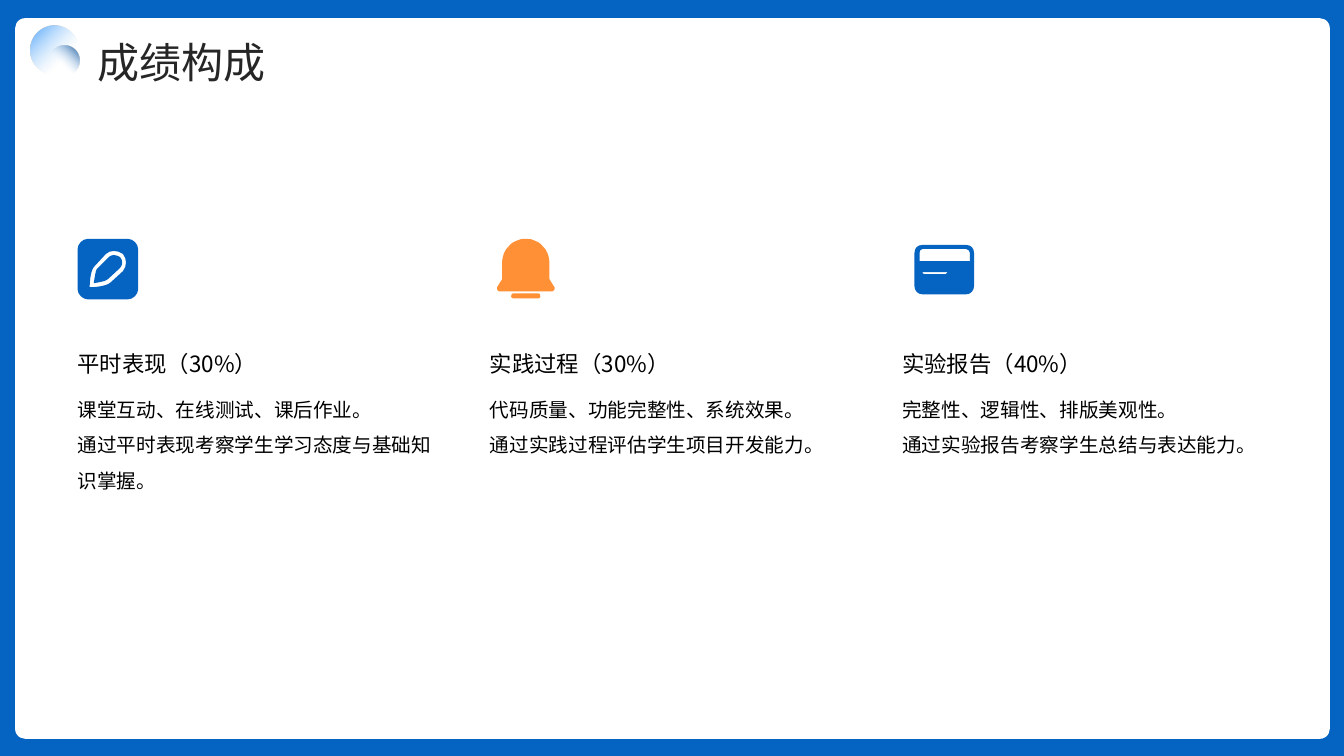
from dataclasses import dataclass

from lxml.etree import SubElement
from pptx import Presentation
from pptx.dml.color import RGBColor
from pptx.enum.shapes import MSO_SHAPE as Shape
from pptx.enum.text import MSO_ANCHOR as Anchor, MSO_AUTO_SIZE as AutoSize
from pptx.oxml import parse_xml
from pptx.oxml.ns import nsdecls, qn
from pptx.util import Inches, Pt


@dataclass(frozen=True)
class Theme:
    font: str = "Noto Sans CJK SC"
    blue: str = "0563C1"
    orange: str = "FF9035"
    white: str = "FFFFFF"
    black: str = "000000"
    ink: str = "262626"
    pale: str = "C2E0FD"
    sky: str = "49A1FA"
    navy: str = "044A91"
    title: int = 30
    heading: int = 16
    body: int = 14


@dataclass(frozen=True)
class Box:
    left: float
    top: float
    width: float
    height: float

    def emu(self) -> list[int]:
        return [Inches(v) for v in (self.left, self.top, self.width, self.height)]


@dataclass(frozen=True)
class Part:
    heading: str
    body: str
    icon: str
    color: str


@dataclass(frozen=True)
class Orb:
    box: Box
    clear_until: int
    edge: str
    focus: str


T = Theme()
COLUMN_LEFT, COLUMN_STEP, COLUMN_WIDTH = 0.77, 4.09, 3.6

PENCIL = """
M 1.13 2.53 C 1.15 2.53 1.17 2.54 1.19 2.55 C 1.22 2.58 1.22 2.63 1.19 2.66 L 1.07 2.77
C 1.05 2.79 0.99 2.8 0.93 2.81 C 0.94 2.75 0.95 2.68 0.96 2.67 L 1.08 2.55
C 1.09 2.54 1.11 2.53 1.13 2.53
M 1.13 2.49 C 1.1 2.49 1.07 2.5 1.05 2.52 L 0.94 2.64 C 0.89 2.68 0.89 2.85 0.89 2.85
C 0.89 2.85 1.05 2.85 1.1 2.8 L 1.22 2.69 C 1.26 2.64 1.26 2.57 1.22 2.52
C 1.19 2.5 1.16 2.49 1.13 2.49
M 0.87 2.37 L 1.27 2.37 C 1.32 2.37 1.37 2.42 1.37 2.47 L 1.37 2.87
C 1.37 2.92 1.32 2.97 1.27 2.97 L 0.87 2.97 C 0.82 2.97 0.77 2.92 0.77 2.87
L 0.77 2.47 C 0.77 2.42 0.82 2.37 0.87 2.37
"""
BELL = """
M 5.09 2.91 L 5.34 2.91 C 5.35 2.91 5.36 2.92 5.36 2.94 C 5.36 2.95 5.35 2.96 5.34 2.96
L 5.09 2.96 C 5.08 2.96 5.07 2.95 5.07 2.94 C 5.07 2.92 5.08 2.91 5.09 2.91
M 5.22 2.37 C 5.25 2.37 5.28 2.37 5.31 2.39 C 5.33 2.4 5.36 2.41 5.38 2.44
C 5.4 2.46 5.42 2.48 5.43 2.51 C 5.44 2.54 5.45 2.57 5.45 2.6 L 5.45 2.77 L 5.5 2.85
C 5.5 2.86 5.5 2.87 5.5 2.87 C 5.49 2.88 5.49 2.89 5.48 2.89 L 4.95 2.89
C 4.94 2.89 4.94 2.88 4.93 2.87 C 4.93 2.87 4.93 2.86 4.93 2.85 L 4.98 2.77 L 4.98 2.6
C 4.98 2.57 4.99 2.54 5 2.51 C 5.01 2.48 5.03 2.46 5.05 2.44
C 5.07 2.41 5.1 2.4 5.12 2.39 C 5.15 2.37 5.18 2.37 5.22 2.37
"""
CARD = """
M 9.15 2.7 L 9.15 2.71 C 9.16 2.72 9.17 2.72 9.17 2.72 L 9.38 2.72
C 9.38 2.72 9.39 2.72 9.39 2.71 L 9.4 2.7
M 9.15 2.47 C 9.13 2.47 9.12 2.49 9.12 2.51 L 9.12 2.59 L 9.62 2.59 L 9.62 2.51
C 9.62 2.49 9.6 2.47 9.58 2.47
M 9.15 2.43 L 9.58 2.43 C 9.63 2.43 9.66 2.46 9.66 2.51 L 9.66 2.84
C 9.66 2.88 9.63 2.92 9.58 2.92 L 9.15 2.92 C 9.1 2.92 9.07 2.88 9.07 2.84
L 9.07 2.51 C 9.07 2.46 9.1 2.43 9.15 2.43
"""

PARTS = [
    Part("平时表现（30%）",
         "课堂互动、在线测试、课后作业。\v通过平时表现考察学生学习态度与基础知识掌握。",
         PENCIL, T.blue),
    Part("实践过程（30%）",
         "代码质量、功能完整性、系统效果。\v通过实践过程评估学生项目开发能力。",
         BELL, T.orange),
    Part("实验报告（40%）",
         "完整性、逻辑性、排版美观性。\v通过实验报告考察学生总结与表达能力。",
         CARD, T.blue),
]
ORBS = [
    Orb(Box(0.3, 0.26, 0.48, 0.48), 31, T.sky, 'l="100000" t="100000"'),
    Orb(Box(0.49, 0.45, 0.3, 0.3), 40, T.navy, 't="100000" r="100000"'),
]


def paint(s, color: str) -> None:
    s.shadow.inherit = False
    s.line.fill.background()
    s.fill.solid()
    s.fill.fore_color.rgb = RGBColor.from_string(color)


def add_panel(slide, kind: Shape, box: Box, color: str):
    s = slide.shapes.add_shape(kind, *box.emu())
    paint(s, color)
    return s


def add_orb(slide, orb: Orb) -> None:
    s = add_panel(slide, Shape.OVAL, orb.box, orb.edge)
    gradient = parse_xml(
        f'<a:gradFill {nsdecls("a")} rotWithShape="1"><a:gsLst>'
        f'<a:gs pos="{orb.clear_until * 1000}"><a:srgbClr val="{T.pale}">'
        f'<a:alpha val="0"/></a:srgbClr></a:gs>'
        f'<a:gs pos="100000"><a:srgbClr val="{orb.edge}"/></a:gs></a:gsLst>'
        f'<a:path path="circle"><a:fillToRect {orb.focus}/></a:path></a:gradFill>')
    solid = s.element.spPr.find(qn("a:solidFill"))
    solid.getparent().replace(solid, gradient)


def bend(s, commands: list[str]) -> None:
    outline = s.element.find(f".//{qn('a:path')}")
    nodes = iter([n for n in outline if n.tag != qn("a:close")])
    for command in commands:
        node = next(nodes)
        if command == "C":
            curve = SubElement(outline, qn("a:cubicBezTo"))
            node.addprevious(curve)
            for part in (node, next(nodes), next(nodes)):
                curve.append(part[0])
                outline.remove(part)


def add_icon(slide, icon: str, color: str) -> None:
    contours, commands = [], []
    tokens = iter(icon.split())
    for command in tokens:
        commands.append(command)
        points = [(Inches(float(next(tokens))), Inches(float(next(tokens))))
                  for _ in range(3 if command == "C" else 1)]
        if command == "M":
            contours.append(points)
        else:
            contours[-1] += points
    builder = slide.shapes.build_freeform(*contours[0][0])
    for i, (start, *rest) in enumerate(contours):
        if i:
            builder.move_to(*start)
        builder.add_line_segments(rest, close=True)
    s = builder.convert_to_shape()
    bend(s, commands)
    paint(s, color)


def add_text(slide, box: Box, text: str, size: int, spacing: float, color: str = T.black,
             anchor: Anchor = Anchor.TOP, fit: AutoSize = AutoSize.NONE) -> None:
    tf = slide.shapes.add_textbox(*box.emu()).text_frame
    tf.word_wrap = True
    tf.auto_size = fit
    tf.vertical_anchor = anchor
    tf.margin_left = tf.margin_top = tf.margin_right = tf.margin_bottom = 0
    tf.text = text
    p = tf.paragraphs[0]
    p.line_spacing = spacing
    for r in p.runs:
        r.font.size = Pt(size)
        r.font.name = T.font
        r.font.color.rgb = RGBColor.from_string(color)
        SubElement(r.font._element, qn("a:ea"), typeface=T.font)


def main() -> None:
    prs = Presentation()
    prs.slide_width, prs.slide_height = Inches(13.33), Inches(7.5)
    slide = prs.slides.add_slide(prs.slide_layouts[6])
    add_panel(slide, Shape.RECTANGLE, Box(0, 0, 13.33, 7.5), T.blue)
    page = add_panel(slide, Shape.ROUNDED_RECTANGLE, Box(0.15, 0.18, 13.04, 7.15), T.white)
    page.adjustments[0] = 0.014
    for i, part in enumerate(PARTS):
        left = COLUMN_LEFT + i * COLUMN_STEP
        add_icon(slide, part.icon, part.color)
        add_text(slide, Box(left, 3.03, COLUMN_WIDTH, 0.71), part.heading,
                 T.heading, 1.3, anchor=Anchor.BOTTOM)
        add_text(slide, Box(left, 3.83, COLUMN_WIDTH, 1.72), part.body,
                 T.body, 1.5, fit=AutoSize.TEXT_TO_FIT_SHAPE)
    add_text(slide, Box(0.97, 0.21, 11.42, 0.6), "成绩构成", T.title, 1.3, T.ink)
    for orb in ORBS:
        add_orb(slide, orb)
    prs.save("out.pptx")


if __name__ == "__main__":
    main()
